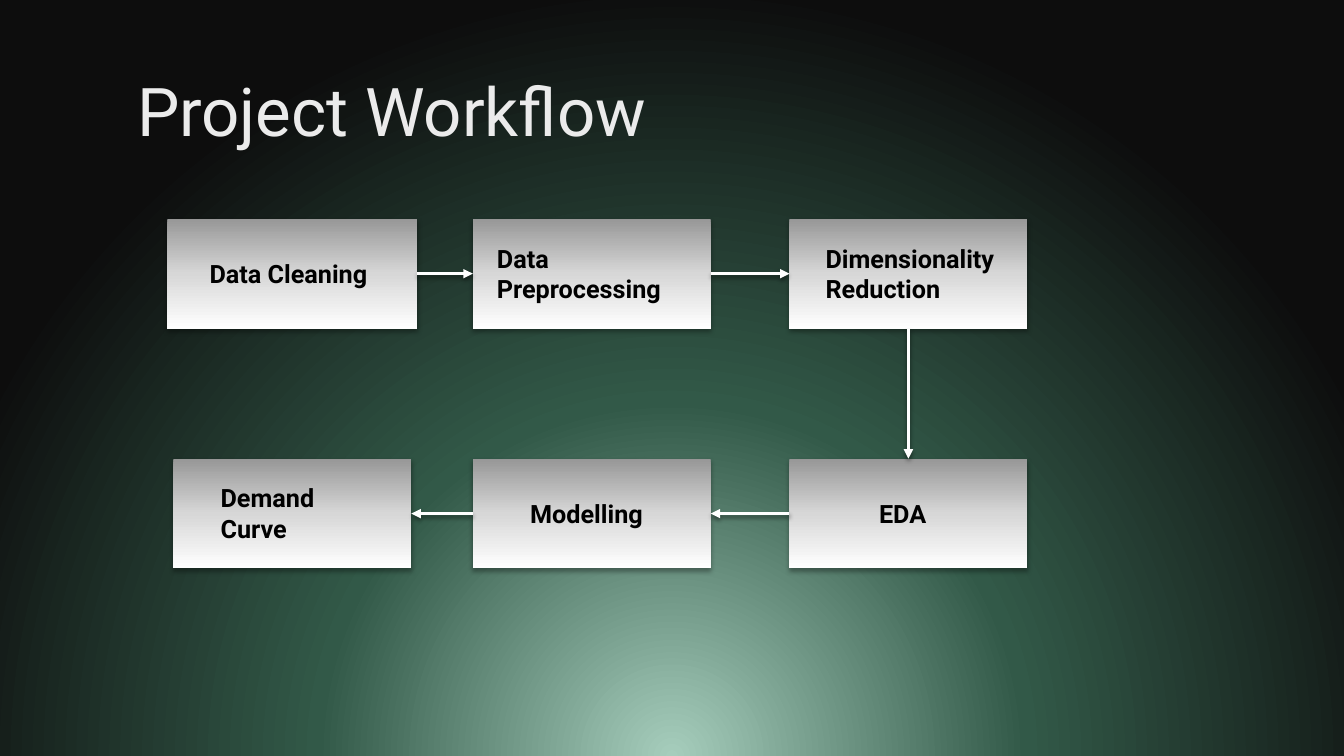
from lxml import etree
from pptx import Presentation
from pptx import oxml, util as u
from pptx.dml.color import RGBColor
from pptx.enum import shapes, text
from pptx.oxml import ns

COLORS = {"title": "EBEBEB", "label": "000000", "arrow": "FFFFFF", "shadow": "000000"}
BACKGROUND_STOPS = [(0, "A6CDBC"), (46, "325948"), (100, "0D0D0D")]
BOX_STOPS = [(0, "979797"), (50, "D7D7D7"), (100, "FFFFFF")]
TOP, LEFT, BOTTOM, RIGHT = range(4)
BOX_HEIGHT = 1.09


def gradient(stops, direction):
    stop_list = "".join(
        f'<a:gs pos="{position * 1000}"><a:srgbClr val="{color}"/></a:gs>'
        for position, color in stops)
    return oxml.parse_xml(
        f'<a:gradFill rotWithShape="1" {ns.nsdecls("a")}>'
        f"<a:gsLst>{stop_list}</a:gsLst>{direction}</a:gradFill>")


class WorkflowSlide:
    def __init__(self, presentation, font="Roboto"):
        self.slide = presentation.slides.add_slide(presentation.slide_layouts[5])
        self.font = font

    def background(self):
        background = oxml.parse_xml(
            f'<p:bg {ns.nsdecls("p", "a")}><p:bgPr><a:effectLst/></p:bgPr></p:bg>')
        background[0].insert(0, gradient(
            BACKGROUND_STOPS,
            '<a:path path="circle"><a:fillToRect l="50000" t="130000" '
            'r="50000" b="-30000"/></a:path>'))
        self.slide.element.cSld.insert(0, background)

    def set_text(self, shape, content, size, color, bold=False):
        frame = shape.text_frame
        frame.text = content
        frame.word_wrap = True
        paragraph = frame.paragraphs[0]
        paragraph.alignment = text.PP_ALIGN.LEFT
        font = paragraph.runs[0].font
        font.name, font.size, font.bold = self.font, u.Pt(size), bold
        font.color.rgb = RGBColor.from_string(COLORS[color])

    def title(self, content, left, top, width, height):
        title = self.slide.shapes.title
        title.left, title.top = u.Inches(left), u.Inches(top)
        title.width, title.height = u.Inches(width), u.Inches(height)
        self.set_text(title, content, 48, "title")
        title.text_frame.vertical_anchor = text.MSO_ANCHOR.MIDDLE

    def shadow(self, shape, opacity, blur, distance):
        properties = shape.element.spPr
        effects = etree.SubElement(properties, ns.qn("a:effectLst"))
        outer = etree.SubElement(
            effects, ns.qn("a:outerShdw"), blurRad=str(u.Pt(blur)),
            dist=str(u.Pt(distance)), dir="5400000", rotWithShape="0")
        color = etree.SubElement(outer, ns.qn("a:srgbClr"), val=COLORS["shadow"])
        etree.SubElement(color, ns.qn("a:alpha"), val=str(opacity * 1000))

    def box(self, left, top, width):
        box = self.slide.shapes.add_shape(
            shapes.MSO_SHAPE.RECTANGLE, u.Inches(left), u.Inches(top),
            u.Inches(width), u.Inches(BOX_HEIGHT))
        box.line.fill.background()
        box.element.spPr.find(ns.qn("a:ln")).addprevious(
            gradient(BOX_STOPS, '<a:lin ang="5400000" scaled="0"/>'))
        self.shadow(box, 32, 3.5, 2.2)
        return box

    def label(self, content, left, middle, width, height):
        label = self.slide.shapes.add_textbox(
            u.Inches(left), u.Inches(middle - height / 2),
            u.Inches(width), u.Inches(height))
        self.set_text(label, content, 18, "label", bold=True)
        label.text_frame.auto_size = text.MSO_AUTO_SIZE.SHAPE_TO_FIT_TEXT

    def arrow(self, start, start_side, end, end_side):
        arrow = self.slide.shapes.add_connector(
            shapes.MSO_CONNECTOR.STRAIGHT, 0, 0, 0, 0)
        arrow.begin_connect(start, start_side)
        arrow.end_connect(end, end_side)
        arrow.line.width = u.Pt(2.25)
        arrow.line.color.rgb = RGBColor.from_string(COLORS["arrow"])
        line = arrow.element.spPr.find(ns.qn("a:ln"))
        etree.SubElement(line, ns.qn("a:tailEnd"), type="triangle")
        self.shadow(arrow, 45, 3, 2)


def main():
    presentation = Presentation()
    presentation.slide_width, presentation.slide_height = u.Inches(13.33), u.Inches(7.5)
    workflow = WorkflowSlide(presentation)
    workflow.background()
    workflow.title("Project Workflow", 1.26, 0.59, 9.65, 1)

    # Steps in flow order: box left, top, width; label left, width, height
    upper, lower = 2.17, 4.55
    one_line, two_lines = 0.4, 0.71
    steps = [
        ("Data Cleaning", 1.66, upper, 2.48, 1.98, 1.93, one_line),
        ("Data Preprocessing", 4.69, upper, 2.36, 4.83, 2.09, two_lines),
        ("Dimensionality Reduction", 7.83, upper, 2.36, 8.09, 2.06, two_lines),
        ("EDA", 7.83, lower, 2.36, 8.62, 0.78, one_line),
        ("Modelling", 4.69, lower, 2.36, 5.16, 1.4, one_line),
        ("Demand Curve", 1.72, lower, 2.36, 2.09, 1.4, two_lines),
    ]
    boxes = []
    for name, left, top, width, label_left, label_width, label_height in steps:
        boxes.append(workflow.box(left, top, width))
        workflow.label(name, label_left, top + BOX_HEIGHT / 2, label_width, label_height)

    # Arrows: right along the upper row, down, then left along the lower row
    sides = [(RIGHT, LEFT)] * 2 + [(BOTTOM, TOP)] + [(LEFT, RIGHT)] * 2
    for start, end, (start_side, end_side) in zip(boxes, boxes[1:], sides):
        workflow.arrow(start, start_side, end, end_side)

    presentation.save("out.pptx")


if __name__ == "__main__":
    main()
